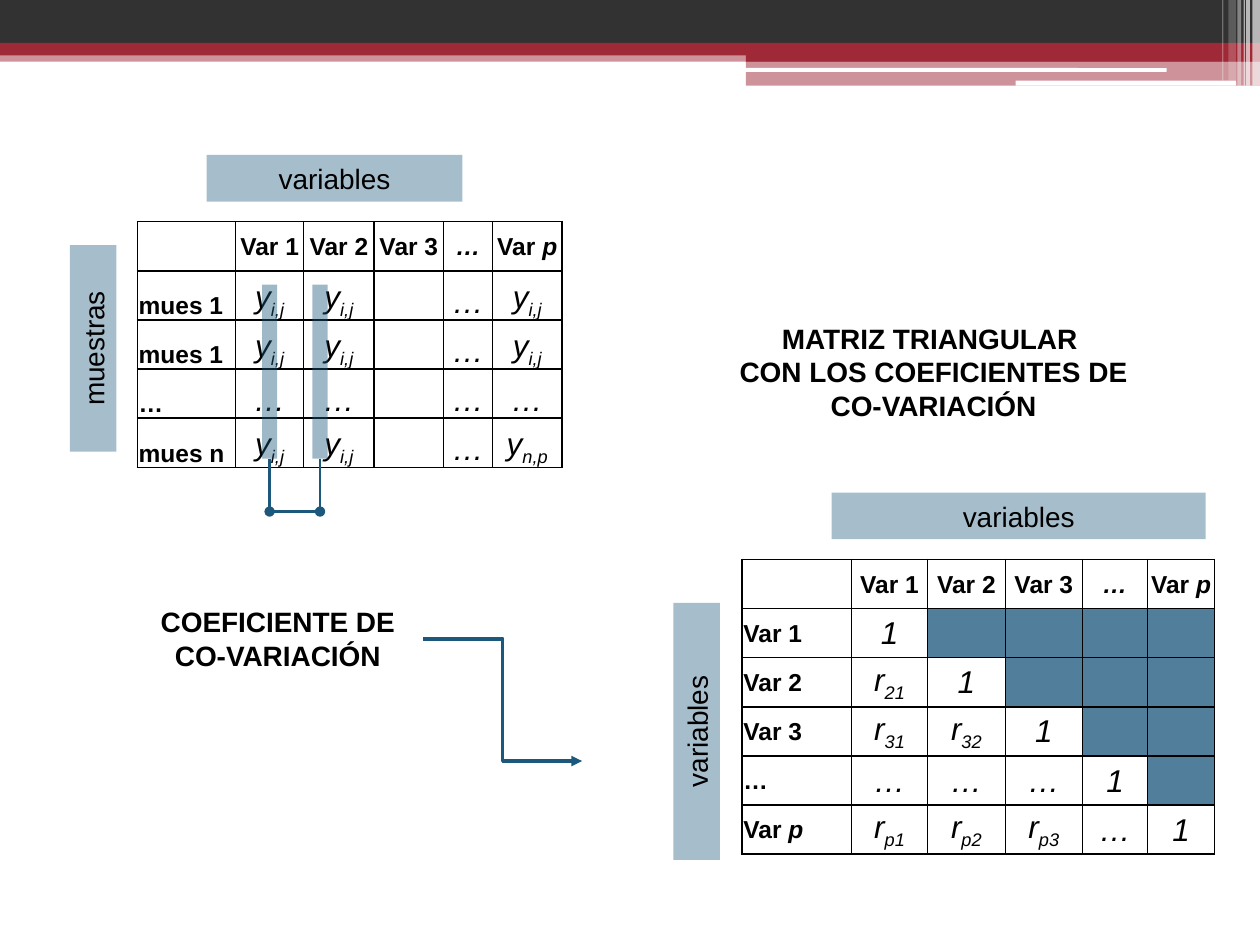
from lxml.etree import SubElement
from pptx import Presentation
from pptx.dml.color import RGBColor
from pptx.enum.shapes import MSO_CONNECTOR as LINK, MSO_SHAPE as SHAPE
from pptx.enum.text import MSO_ANCHOR as ANCHOR, PP_ALIGN as ALIGN
from pptx.oxml import parse_xml
from pptx.oxml.ns import nsdecls, qn
from pptx.util import Inches, Pt

BLACK = RGBColor(0x00, 0x00, 0x00)
WHITE = RGBColor(0xFF, 0xFF, 0xFF)
CHARCOAL = RGBColor(0x32, 0x32, 0x32)
RED = RGBColor(0x9F, 0x29, 0x36)
BLUE = RGBColor(0x1B, 0x58, 0x7C)

prs = Presentation()
prs.slide_width, prs.slide_height = Inches(10), Inches(7.5)
slide = prs.slides.add_slide(prs.slide_layouts[6])
shapes = slide.shapes


def paint(fill, properties, color, opacity):
    fill.solid()
    fill.fore_color.rgb = color
    if opacity < 100:
        for tint in properties.findall(qn("a:solidFill") + "/" + qn("a:srgbClr")):
            SubElement(tint, qn("a:alpha"), val=str(opacity * 1000))


def add_bar(left, top, width, height, color, opacity=100, preset=SHAPE.RECTANGLE):
    bar = shapes.add_shape(preset, Inches(left), Inches(top), Inches(width), Inches(height))
    bar.shadow.inherit = False
    bar.line.fill.background()
    paint(bar.fill, bar._element.spPr, color, opacity)
    return bar


add_bar(0, 0.4, 10, 0.09, RED, 50)
add_bar(0, 0, 10, 0.34, CHARCOAL)
add_bar(0, 0.34, 10, 0.1, RED)
add_bar(5.92, 0.39, 4.08, 0.1, RED)
add_bar(5.92, 0.48, 4.08, 0.2, RED, 50)
add_bar(5.91, 0.54, 3.35, 0.03, WHITE, preset=SHAPE.ROUNDED_RECTANGLE)
add_bar(8.06, 0.64, 1.75, 0.04, WHITE, preset=SHAPE.ROUNDED_RECTANGLE)
for left, width, height, opacity in [
    (9.94, 0.06, 0.68, 65), (9.89, 0.03, 0.68, 65), (9.87, 0.01, 0.68, 60),
    (9.82, 0.03, 0.68, 40), (9.75, 0.06, 0.64, 20), (9.7, 0.01, 0.64, 30),
]:
    add_bar(left, 0, width, height, WHITE, opacity)

# "_" starts the italic part of a heading or the subscript of a value; None is a shaded cell.
header = ["", "Var 1", "Var 2", "Var 3", "_…", "Var _p"]
sample_row = ["y_i,j", "y_i,j", "", "…", "y_i,j"]
sample_matrix = [
    header,
    ["mues 1"] + sample_row,
    ["mues 1"] + sample_row,
    ["…", "…", "…", "", "…", "…"],
    ["mues n"] + sample_row[:-1] + ["y_n,p"],
]
triangular_matrix = [
    header,
    ["Var 1", "1", None, None, None, None],
    ["Var 2", "r_21", "1", None, None, None],
    ["Var 3", "r_31", "r_32", "1", None, None],
    ["…", "…", "…", "…", "1", None],
    ["Var _p", "r_p1", "r_p2", "r_p3", "…", "1"],
]
for left, top, widths, matrix, body_anchor in [
    (1.09, 1.76, [0.78, 0.54, 0.56, 0.55, 0.39, 0.55], sample_matrix, ANCHOR.BOTTOM),
    (5.89, 4.44, [0.87, 0.6, 0.62, 0.61, 0.52, 0.53], triangular_matrix, ANCHOR.MIDDLE),
]:
    row_height = Inches(0.39)
    grid = shapes.add_table(len(matrix), len(widths), Inches(left), Inches(top),
                            Inches(sum(widths)), row_height * len(matrix)).table
    grid.first_row = grid.horz_banding = False
    for column, width in zip(grid.columns, widths):
        column.width = Inches(width)
    for r, values in enumerate(matrix):
        grid.rows[r].height = row_height
        for c, value in enumerate(values):
            cell = grid.cell(r, c)
            cell.margin_left = cell.margin_right = cell.margin_top = Inches(0.01)
            cell.margin_bottom = 0
            cell.vertical_anchor = body_anchor if r else ANCHOR.MIDDLE
            borders = cell._tc.get_or_add_tcPr()
            for side in ("lnL", "lnR", "lnT", "lnB"):
                borders.append(parse_xml(
                    f'<a:{side} {nsdecls("a")} w="12700"><a:solidFill>'
                    f'<a:srgbClr val="{BLACK}"/></a:solidFill></a:{side}>'))
            if value is None:
                paint(cell.fill, borders, BLUE, 76)
                continue
            cell.fill.background()
            heading = r == 0 or c == 0
            paragraph = cell.text_frame.paragraphs[0]
            paragraph.alignment = ALIGN.LEFT if c == 0 else ALIGN.CENTER
            for part, text in enumerate(value.split("_")):
                if not text:
                    continue
                run = paragraph.add_run()
                run.text = text
                run.font.name = "Arial"
                run.font.size = Pt(14 if heading else 18)
                run.font.color.rgb = BLACK
                run.font.bold = heading
                run.font.italic = not heading or part == 1
                if part and not heading:
                    run.font._element.set("baseline", "-25000")

for text, left, top, width, rotation in [
    ("variables", 1.64, 1.23, 2.03, 0),
    ("muestras", -0.08, 2.58, 1.64, 270),
    ("variables", 6.6, 3.91, 2.97, 0),
    ("variables", 4.51, 5.62, 2.04, 270),
]:
    axis_label = add_bar(left, top, width, 0.37, BLUE, 39)
    axis_label.rotation = rotation
    axis_label.text_frame.text = text
    paragraph = axis_label.text_frame.paragraphs[0]
    paragraph.alignment = ALIGN.CENTER
    font = paragraph.runs[0].font
    font.name, font.size, font.color.rgb = "Arial", Pt(16), BLACK

for text, left, top, width, height in [
    ("COEFICIENTE DE CO-VARIACIÓN", 1, 4.75, 2.41, 0.64),
    ("MATRIZ TRIANGULAR \nCON LOS COEFICIENTES DE CO-VARIACIÓN", 5.56, 2.5, 3.7, 0.91),
]:
    caption = shapes.add_textbox(Inches(left), Inches(top), Inches(width), Inches(height)).text_frame
    caption.word_wrap = True
    caption.text = text
    for paragraph in caption.paragraphs:
        paragraph.alignment = ALIGN.CENTER
        font = paragraph.runs[0].font
        font.name, font.size, font.bold, font.color.rgb = "Arial", Pt(16), True, BLACK

stems = []
for center in (2.54, 2.14):
    compared_column = add_bar(center - 0.06, 2.26, 0.12, 1.38, BLUE, 42)
    stem = shapes.add_connector(LINK.STRAIGHT, Inches(center), Inches(3.64), Inches(center), Inches(4.06))
    stem.begin_connect(compared_column, 2)
    stems.append(stem)
pair_link = shapes.add_connector(LINK.STRAIGHT, Inches(2.54), Inches(4.06), Inches(2.14), Inches(4.06))
result_arrow = shapes.add_connector(LINK.ELBOW, Inches(3.36), Inches(5.07), Inches(4.62), Inches(6.04))

for connector, weight, ends in [
    (stems[0], 1.5, {}),
    (stems[1], 1.5, {}),
    (pair_link, 1.5, {"headEnd": "oval", "tailEnd": "oval"}),
    (result_arrow, 2, {"tailEnd": "triangle"}),
]:
    connector.line.color.rgb = BLUE
    connector.line.width = Pt(weight)
    properties = connector._element.spPr
    for end, style in ends.items():
        SubElement(properties.find(qn("a:ln")), qn(f"a:{end}"), type=style)
    SubElement(properties, qn("a:effectLst"))

prs.save("out.pptx")
